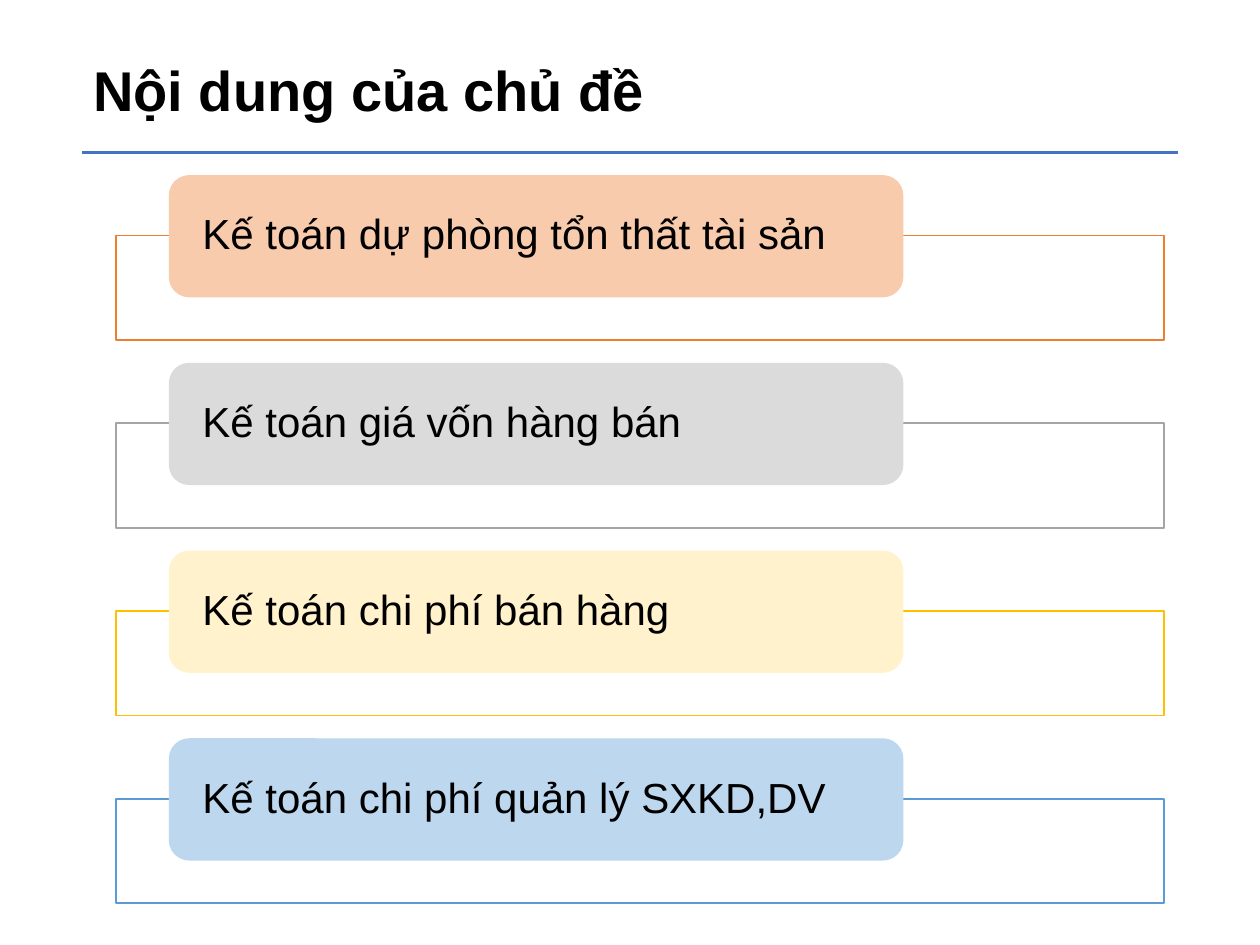
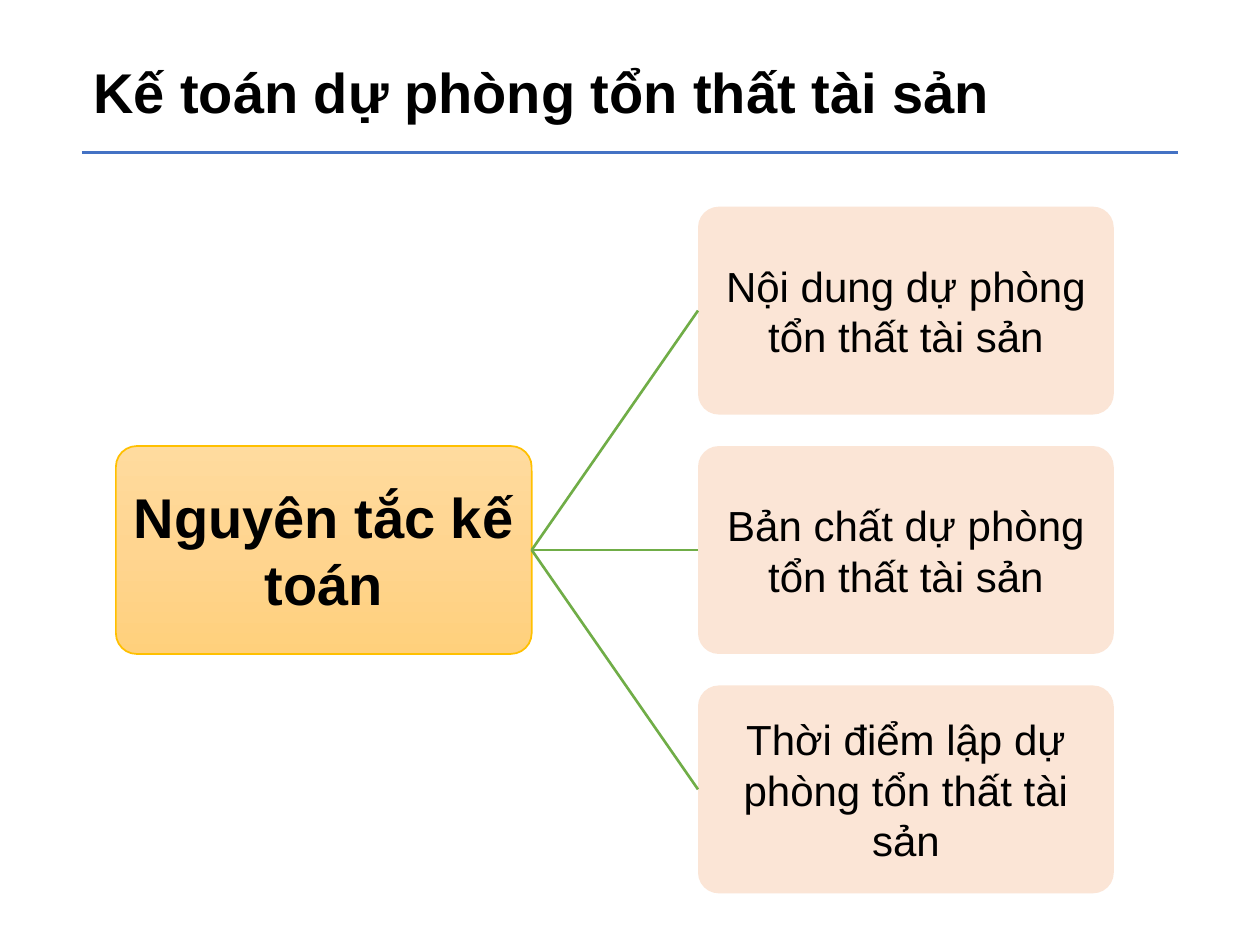
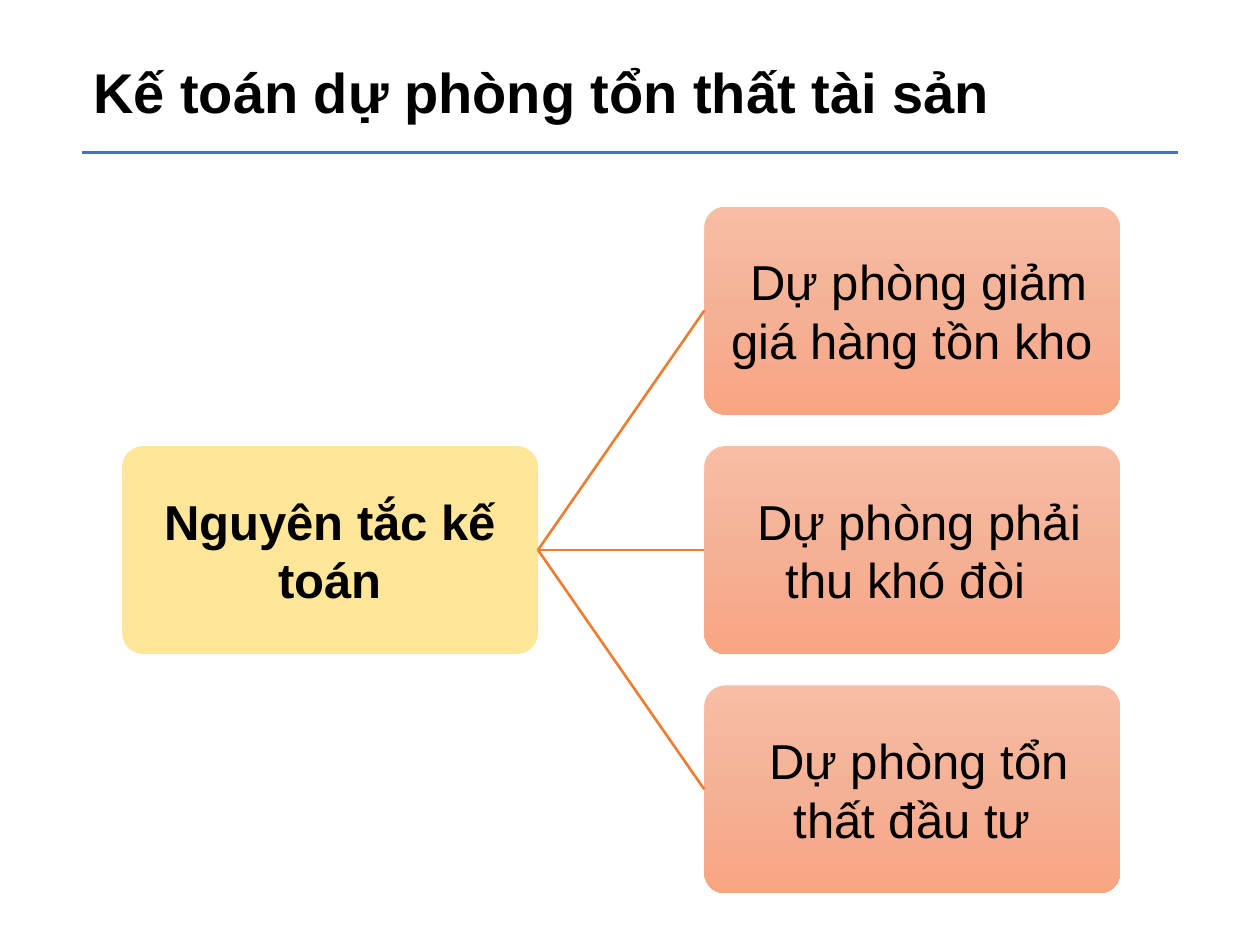
from copy import deepcopy
from dataclasses import dataclass

from pptx import Presentation
from pptx.dml.color import RGBColor
from pptx.enum.shapes import MSO_CONNECTOR, MSO_SHAPE
from pptx.enum.text import MSO_ANCHOR, MSO_AUTO_SIZE, PP_ALIGN
from pptx.oxml.ns import qn
from pptx.oxml.xmlchemy import OxmlElement
from pptx.util import Inches, Pt


@dataclass(frozen=True)
class Theme:
    font: str = "Arial"
    ink: str = "000000"
    paper: str = "FFFFFF"
    rule: str = "4472C4"
    orange: str = "ED7D31"
    gray: str = "A5A5A5"
    gold: str = "FFC000"
    blue: str = "5B9BD5"
    green: str = "70AD47"
    peach: str = "F8CBAD"
    silver: str = "DBDBDB"
    cream: str = "FFF2CC"
    sky: str = "BDD7EE"
    blush: str = "FBE5D6"
    sand: str = "FFE699"
    amber: tuple = ("FFDB9E", "FFD590", "FFD07C")
    coral: tuple = ("F7BDA5", "F5B196", "F8A582")
    head: int = 32
    large: int = 28
    body: int = 24


T = Theme()
COLS, ROWS = 10, 7.5


def grid(*cells):
    """Turn grid cells, 10 across and 7.5 down, into lengths."""
    return [Inches(cell) for cell in cells]


def rgb(code):
    return RGBColor.from_string(code)


def write(frame, text, size, bold=False, align=PP_ALIGN.LEFT, pad=(0.1, 0.05)):
    frame.word_wrap = True
    frame.auto_size = MSO_AUTO_SIZE.NONE
    frame.vertical_anchor = MSO_ANCHOR.MIDDLE
    frame.margin_left = frame.margin_right = Inches(pad[0])
    frame.margin_top = frame.margin_bottom = Inches(pad[1])
    para = frame.paragraphs[0]
    para.alignment = align
    run = para.add_run()
    run.text = text
    font = run.font
    font.name, font.size, font.bold = T.font, Pt(size), bold
    font.color.rgb = rgb(T.ink)
    return para


def blend(shape, codes):
    """Fill a shape from top to bottom with three even colour stops."""
    fill = shape.fill
    fill.gradient()
    fill.gradient_angle = 270
    stops = next(shape.element.iter(qn("a:gsLst")))
    stops.insert(1, deepcopy(stops[0]))
    for i, (stop, code) in enumerate(zip(fill.gradient_stops, codes)):
        stop.position = i / 2
        stop.color.rgb = rgb(code)


def block(slide, kind, box, fill, edge=None):
    shape = slide.shapes.add_shape(kind, *grid(*box))
    shape.shadow.inherit = False
    if isinstance(fill, tuple):
        blend(shape, fill)
    else:
        shape.fill.solid()
        shape.fill.fore_color.rgb = rgb(fill)
    if edge:
        shape.line.color.rgb = rgb(edge)
        shape.line.width = Pt(1)
    else:
        shape.line.fill.background()
    return shape


def stroke(slide, ends, code):
    line = slide.shapes.add_connector(MSO_CONNECTOR.STRAIGHT, *grid(*ends))
    line.line.color.rgb = rgb(code)
    line.line.width = Pt(1.5)
    line.element.spPr.append(OxmlElement("a:effectLst"))
    return line


def start(deck, text, width, top=0.4):
    slide = deck.slides.add_slide(deck.slide_layouts[5])
    title = slide.shapes.title
    title.left, title.top, title.width, title.height = grid(0.64, top, width, 0.64)
    write(title.text_frame, text, T.head, True)
    return slide


def band(slide, row, text, fill, edge):
    """Draw one agenda row: a wide frame with a label over its top edge."""
    top = 1.39 + 1.49 * row
    block(slide, MSO_SHAPE.RECTANGLE, (0.92, top + 0.48, 8.32, 0.83), T.paper, edge)
    label = block(slide, MSO_SHAPE.ROUNDED_RECTANGLE, (1.34, top, 5.83, 0.97), fill)
    write(label.text_frame, text, T.body, pad=(0.22, 0)).line_spacing = 0.9


def node(slide, left, row, text, size, fill, edge=None, bold=False):
    box = (left, 1.64 + 1.9 * row, 3.3, 1.65)
    shape = block(slide, MSO_SHAPE.ROUNDED_RECTANGLE, box, fill, edge)
    shape.adjustments[0] = 0.1
    write(shape.text_frame, text, size, bold, PP_ALIGN.CENTER, (0.02, 0.02))
    return shape


def tree(slide, left, root, leaves, size, fill, code):
    """Join a root, given as (size, fill, edge), to a column of leaves."""
    trunk = node(slide, left, 1, "Nguyên tắc kế toán", *root, bold=True)
    for row, text in enumerate(leaves):
        leaf = node(slide, left + 4.62, row, text, size, fill)
        link = stroke(slide, (0, 0, 1, 1), code)
        link.begin_connect(trunk, 3)
        link.end_connect(leaf, 1)


def main():
    deck = Presentation()
    deck.slide_width, deck.slide_height = grid(COLS, ROWS)
    topic = "Kế toán dự phòng tổn thất tài sản"

    agenda = start(deck, "Nội dung của chủ đề", 4.98, 0.39)
    rule = stroke(agenda, (0.65, 1.21, COLS - 0.65, 1.21), T.rule)
    agenda.slide_layout.shapes.element.append(rule.element)
    bands = (
        (topic, T.peach, T.orange),
        ("Kế toán giá vốn hàng bán", T.silver, T.gray),
        ("Kế toán chi phí bán hàng", T.cream, T.gold),
        ("Kế toán chi phí quản lý SXKD,DV", T.sky, T.blue),
    )
    for row, item in enumerate(bands):
        band(agenda, row, *item)

    basis = start(deck, topic, 7.51)
    tree(basis, 0.92, (T.head, T.amber, T.gold), (
        "Nội dung dự phòng tổn thất tài sản",
        "Bản chất dự phòng tổn thất tài sản",
        "Thời điểm lập dự phòng tổn thất tài sản",
    ), T.body, T.blush, T.green)

    types = start(deck, topic, 7.51)
    tree(types, 0.97, (T.large, T.sand), (
        " Dự phòng giảm giá hàng tồn kho",
        " Dự phòng phải thu khó đòi ",
        " Dự phòng tổn thất đầu tư",
    ), T.large, T.coral, T.orange)

    deck.save("out.pptx")


if __name__ == "__main__":
    main()
